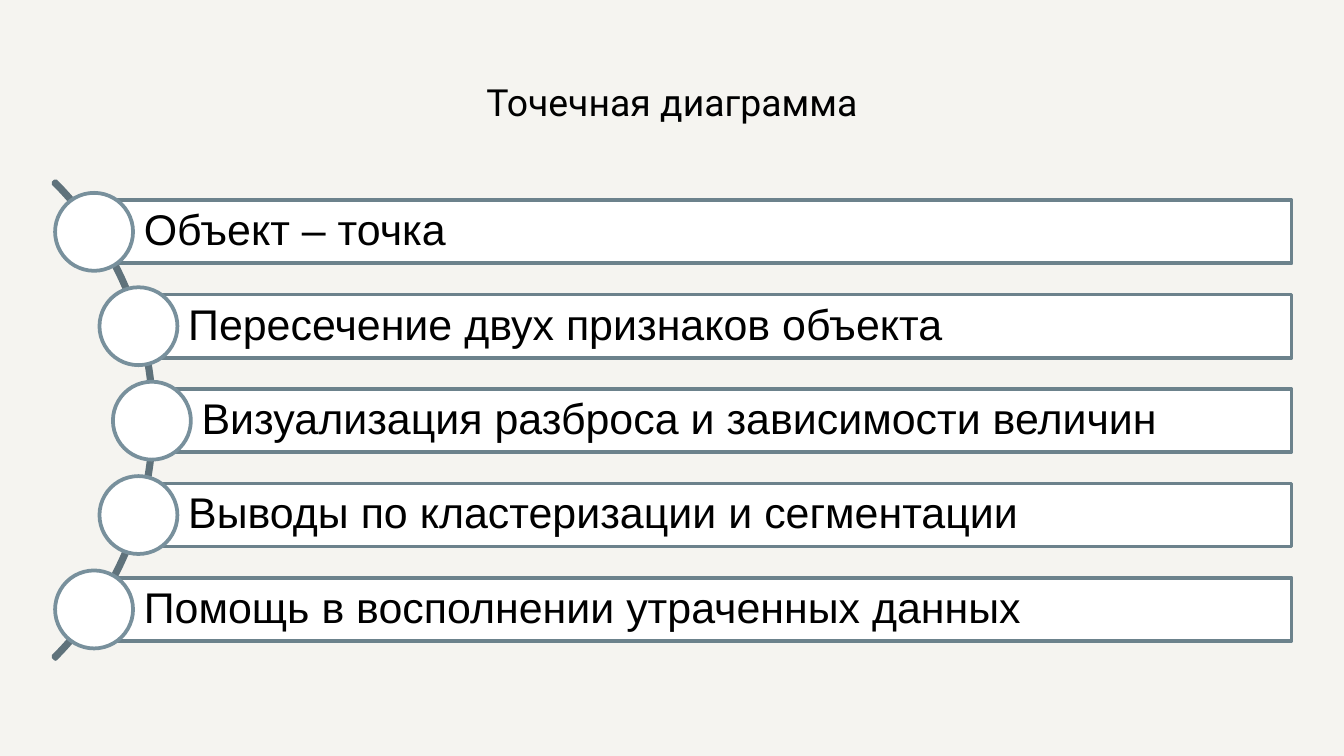
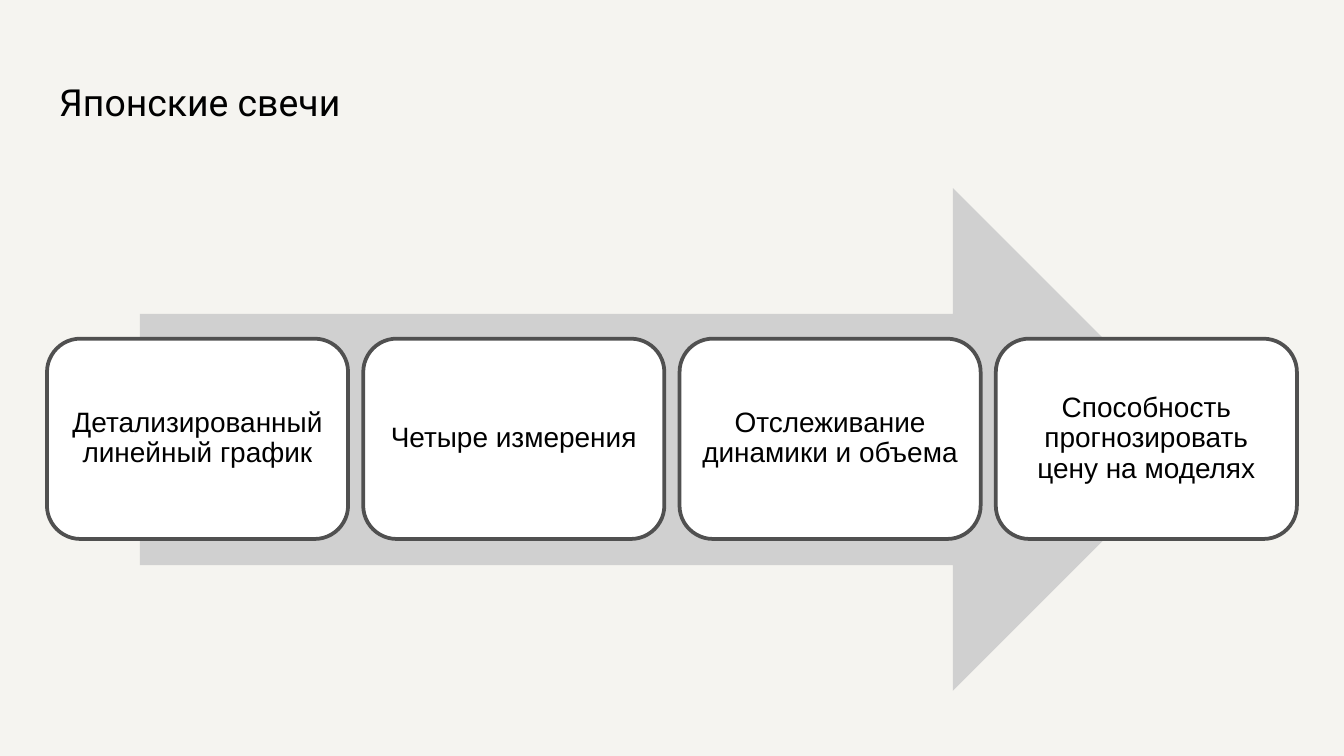
from dataclasses import dataclass

from pptx import Presentation
from pptx.dml.color import RGBColor
from pptx.enum.shapes import MSO_SHAPE
from pptx.enum.text import MSO_ANCHOR, MSO_AUTO_SIZE, PP_ALIGN
from pptx.presentation import Presentation as Deck
from pptx.shapes.autoshape import Shape
from pptx.slide import Slide
from pptx.text.text import TextFrame
from pptx.util import Inches, Pt


@dataclass(frozen=True)
class Theme:
    background: str = "F5F4F0"
    text: str = "000000"
    white: str = "FFFFFF"
    arc: str = "5F727B"
    bar_line: str = "6C828C"
    node_line: str = "78909C"
    arrow: str = "D0D0D0"
    card_line: str = "505050"
    title_font: str = "Roboto"
    body_font: str = "Arial"
    title_size: int = 20
    bar_size: int = 23
    card_size: int = 15
    line_width: int = 2


@dataclass(frozen=True)
class Box:
    left: float
    top: float
    width: float
    height: float


@dataclass(frozen=True)
class Bar:
    left: float
    text: str


THEME = Theme()
TITLE_BOX = Box(0.34, 0.49, 9.32, 0.63)
TITLE_INSET = 0.1
BODY_INSET = 0.06

ARC_BOX = Box(-3.88, 0.61, 5.03, 5.03)
BAR_FIRST_TOP, BAR_LAST_TOP = 1.49, 4.3
BAR_RIGHT, BAR_HEIGHT, BAR_INSET = 9.61, 0.47, 0.37
NODE_SIZE = 0.58
BARS = [
    Bar(0.7, "Объект – точка"),
    Bar(1.03, "Пересечение двух признаков объекта"),
    Bar(1.13, "Визуализация разброса и зависимости величин"),
    Bar(1.03, "Выводы по кластеризации и сегментации"),
    Bar(0.7, "Помощь в восполнении утраченных данных"),
]

ARROW_BOX = Box(1.04, 1.4, 7.92, 3.74)
FIRST_CARD = Box(0.35, 2.52, 2.24, 1.49)
LAST_CARD_LEFT = 7.41
CARDS = [
    "Детализированный линейный график",
    "Четыре измерения",
    "Отслеживание динамики и объема",
    "Способность прогнозировать цену на моделях",
]


def set_insets(tf: TextFrame, left: float, rest: float) -> None:
    tf.margin_left = Inches(left)
    tf.margin_top = tf.margin_right = tf.margin_bottom = Inches(rest)


def format_text(tf: TextFrame, font: str, size: int, align: PP_ALIGN) -> None:
    tf.word_wrap = True
    for p in tf.paragraphs:
        p.alignment = align
        for r in p.runs:
            r.font.name = font
            r.font.size = Pt(size)
            r.font.color.rgb = RGBColor.from_string(THEME.text)


def add_titled_slide(prs: Deck, title: str, align: PP_ALIGN) -> Slide:
    s = prs.slides.add_slide(prs.slide_layouts[5])
    sp = s.shapes.title
    sp.left, sp.top = Inches(TITLE_BOX.left), Inches(TITLE_BOX.top)
    sp.width, sp.height = Inches(TITLE_BOX.width), Inches(TITLE_BOX.height)
    tf = sp.text_frame
    tf.text = title
    tf.auto_size = MSO_AUTO_SIZE.NONE
    tf.vertical_anchor = MSO_ANCHOR.TOP
    set_insets(tf, TITLE_INSET, TITLE_INSET)
    format_text(tf, THEME.title_font, THEME.title_size, align)
    return s


def add_figure(s: Slide, kind: MSO_SHAPE, box: Box,
               fill: str | None = None, line: str | None = None) -> Shape:
    sp = s.shapes.add_shape(kind, Inches(box.left), Inches(box.top),
                            Inches(box.width), Inches(box.height))
    sp.shadow.inherit = False
    if fill:
        sp.fill.solid()
        sp.fill.fore_color.rgb = RGBColor.from_string(fill)
    else:
        sp.fill.background()
    if line:
        sp.line.color.rgb = RGBColor.from_string(line)
        sp.line.width = Pt(THEME.line_width)
    else:
        sp.line.fill.background()
    return sp


def label(sp: Shape, text: str, size: int, align: PP_ALIGN, left_inset: float) -> None:
    tf = sp.text_frame
    tf.text = text
    tf.vertical_anchor = MSO_ANCHOR.MIDDLE
    tf.paragraphs[0].line_spacing = 0.9
    set_insets(tf, left_inset, BODY_INSET)
    format_text(tf, THEME.body_font, size, align)


def build_scatter_slide(prs: Deck) -> None:
    s = add_titled_slide(prs, "Точечная диаграмма", PP_ALIGN.CENTER)
    arc = add_figure(s, MSO_SHAPE.BLOCK_ARC, ARC_BOX, line=THEME.arc)
    for i, value in enumerate((189, 27, 0.005)):
        arc.adjustments[i] = value
    step = (BAR_LAST_TOP - BAR_FIRST_TOP) / (len(BARS) - 1)
    for i, bar in enumerate(BARS):
        top = BAR_FIRST_TOP + i * step
        box = Box(bar.left, top, BAR_RIGHT - bar.left, BAR_HEIGHT)
        sp = add_figure(s, MSO_SHAPE.RECTANGLE, box, THEME.white, THEME.bar_line)
        label(sp, bar.text, THEME.bar_size, PP_ALIGN.LEFT, BAR_INSET)
        node = Box(bar.left - NODE_SIZE / 2, top + (BAR_HEIGHT - NODE_SIZE) / 2,
                   NODE_SIZE, NODE_SIZE)
        add_figure(s, MSO_SHAPE.OVAL, node, THEME.white, THEME.node_line)


def build_candles_slide(prs: Deck) -> None:
    s = add_titled_slide(prs, "Японские свечи", PP_ALIGN.LEFT)
    add_figure(s, MSO_SHAPE.RIGHT_ARROW, ARROW_BOX, THEME.arrow)
    step = (LAST_CARD_LEFT - FIRST_CARD.left) / (len(CARDS) - 1)
    for i, text in enumerate(CARDS):
        box = Box(FIRST_CARD.left + i * step, FIRST_CARD.top,
                  FIRST_CARD.width, FIRST_CARD.height)
        sp = add_figure(s, MSO_SHAPE.ROUNDED_RECTANGLE, box, THEME.white, THEME.card_line)
        label(sp, text, THEME.card_size, PP_ALIGN.CENTER, BODY_INSET)


def main() -> None:
    prs = Presentation()
    prs.slide_width = Inches(10)
    prs.slide_height = Inches(10) * 9 // 16
    fill = prs.slide_master.background.fill
    fill.solid()
    fill.fore_color.rgb = RGBColor.from_string(THEME.background)
    build_scatter_slide(prs)
    build_candles_slide(prs)
    prs.save("out.pptx")


if __name__ == "__main__":
    main()
